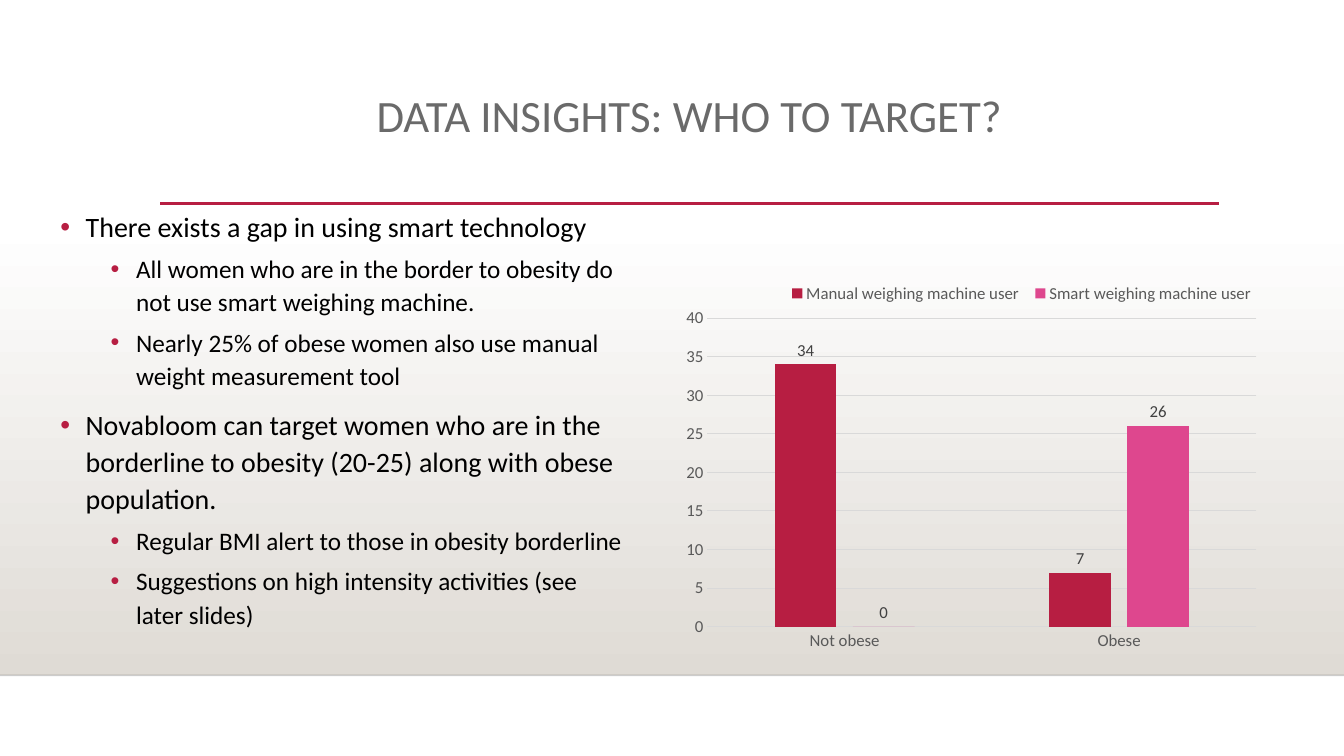
from lxml import etree
from pptx import Presentation
from pptx.chart.data import CategoryChartData
from pptx.dml.color import RGBColor
from pptx.enum.chart import XL_CHART_TYPE, XL_LABEL_POSITION, XL_LEGEND_POSITION, XL_TICK_MARK
from pptx.enum.shapes import MSO_CONNECTOR, MSO_SHAPE
from pptx.enum.text import MSO_ANCHOR, PP_ALIGN
from pptx.oxml.ns import qn
from pptx.util import Cm, Pt

CLUSTERED = XL_CHART_TYPE.COLUMN_CLUSTERED
OUTSIDE_END = XL_LABEL_POSITION.OUTSIDE_END
LEGEND_BOTTOM = XL_LEGEND_POSITION.BOTTOM
NO_TICK = XL_TICK_MARK.NONE
STRAIGHT = MSO_CONNECTOR.STRAIGHT
RECTANGLE = MSO_SHAPE.RECTANGLE
TOP = MSO_ANCHOR.TOP
LEFT, CENTER = PP_ALIGN.LEFT, PP_ALIGN.CENTER

WHITE = RGBColor(0xFF, 0xFF, 0xFF)
BLACK = RGBColor(0x00, 0x00, 0x00)
SAND = RGBColor(0xDF, 0xDB, 0xD5)
CRIMSON = RGBColor(0xB7, 0x1E, 0x42)
PINK = RGBColor(0xDE, 0x47, 0x8E)
TITLE_GRAY = RGBColor(0x6A, 0x6A, 0x6A)
AXIS_GRAY = RGBColor(0x59, 0x59, 0x59)
LABEL_GRAY = RGBColor(0x40, 0x40, 0x40)
GRID_GRAY = RGBColor(0xD9, 0xD9, 0xD9)

WIDTH, HEIGHT = 33.87, 19.05
FLOOR = 17.02

INSIGHTS = [
    (0, "There exists a gap in using smart technology"),
    (1, "All women who are in the border to obesity do not use smart weighing machine."),
    (1, "Nearly 25% of obese women also use manual weight measurement tool"),
    (0, "Novabloom can target women who are in the borderline to obesity (20-25) "
        "along with obese population."),
    (1, "Regular BMI alert to those in obesity borderline"),
    (1, "Suggestions on high intensity activities (see later slides)"),
]
LEVEL_STYLES = [
    dict(size=20, before=10, indent=0.64),
    dict(size=18, before=5, indent=1.91),
]
CATEGORIES = ["Not obese", "Obese"]
USERS = [
    ("Manual weighing machine user", (34, 7), CRIMSON),
    ("Smart weighing machine user", (0, 26), PINK),
]


def write_text(paragraph, text, size=18, color=BLACK, font="Calibri", align=LEFT,
               spacing=1.0, before=0, indent=None, hanging=0.64):
    if indent is not None:
        properties = paragraph._p.get_or_add_pPr()
        properties.set("marL", str(Cm(indent)))
        properties.set("indent", str(-Cm(hanging)))
        bullet_color = etree.SubElement(properties, qn("a:buClr"))
        etree.SubElement(bullet_color, qn("a:srgbClr"), val=str(CRIMSON))
        etree.SubElement(properties, qn("a:buFont"), typeface="Arial")
        etree.SubElement(properties, qn("a:buChar"), char="•")
    paragraph.alignment = align
    paragraph.line_spacing = spacing
    paragraph.space_before = Pt(before)
    run = paragraph.add_run()
    run.text = text
    style_font(run.font, size, color, font)


def style_font(font, size, color, name="Calibri"):
    font.size = Pt(size)
    font.name = name
    font.color.rgb = color


def set_layout(parent, index, left, top, width, height, inner=False):
    for old in parent.findall(qn("c:layout")):
        parent.remove(old)
    layout = etree.Element(qn("c:layout"))
    manual = etree.SubElement(layout, qn("c:manualLayout"))
    values = dict(xMode="edge", yMode="edge", x=left, y=top, w=width, h=height)
    if inner:
        values = dict(layoutTarget="inner", **values)
    for key, value in values.items():
        etree.SubElement(manual, qn("c:" + key), val=str(value))
    parent.insert(index, layout)


class SlideBuilder:
    def __init__(self, presentation):
        self.slide = presentation.slides.add_slide(presentation.slide_layouts[6])
        self.shapes = self.slide.shapes

    def gradient_panel(self, left, top, width, height, colors):
        shape = self.shapes.add_shape(RECTANGLE, Cm(left), Cm(top), Cm(width), Cm(height))
        shape.shadow.inherit = False
        shape.line.fill.background()
        shape.fill.gradient()
        shape.fill.gradient_angle = 270
        for stop, color in zip(shape.fill.gradient_stops, colors):
            stop.color.rgb = color

    def rule(self, left, right, y, color, weight, opacity=100):
        connector = self.shapes.add_connector(STRAIGHT, Cm(left), Cm(y), Cm(right), Cm(y))
        connector.line.color.rgb = color
        connector.line.width = Pt(weight)
        properties = connector._element.spPr
        if opacity < 100:
            color_element = properties.find(".//" + qn("a:srgbClr"))
            etree.SubElement(color_element, qn("a:alpha"), val=str(opacity * 1000))
        etree.SubElement(properties, qn("a:effectLst"))

    def text_box(self, left, top, width, height):
        frame = self.shapes.add_textbox(Cm(left), Cm(top), Cm(width), Cm(height)).text_frame
        frame.word_wrap = True
        frame.vertical_anchor = TOP
        return frame

    def title(self, text):
        frame = self.text_box(4.04, 2.24, 26.67, 2.92)
        write_text(frame.paragraphs[0], text, size=32, color=TITLE_GRAY,
                   align=CENTER, spacing=0.9)

    def bullets(self, items):
        frame = self.text_box(1.27, 5.08, 14.83, 11.73)
        for number, (level, text) in enumerate(items):
            paragraph = frame.add_paragraph() if number else frame.paragraphs[0]
            paragraph.level = level
            style = dict(LEVEL_STYLES[level])
            if number == 0:
                style["before"] = 0
            write_text(paragraph, text, spacing=1.1, **style)

    def column_chart(self, categories, series_list):
        data = CategoryChartData()
        data.categories = categories
        for name, values, _ in series_list:
            data.add_series(name, values)
        chart = self.shapes.add_chart(CLUSTERED, Cm(16.94), Cm(6.6),
                                      Cm(15.32), Cm(10.57), data).chart
        chart.has_title = False
        style_font(chart.font, 10, BLACK)
        self.style_axes(chart)
        self.style_legend(chart)
        plot = chart.plots[0]
        plot.gap_width, plot.overlap = 219, -27
        plot.vary_by_categories = False
        for series, (_, _, color) in zip(plot.series, series_list):
            series.format.fill.solid()
            series.format.fill.fore_color.rgb = color
            labels = series.data_labels
            labels.show_value = True
            labels.position = OUTSIDE_END
            style_font(labels.font, 12, LABEL_GRAY)
        plot_area = chart._chartSpace.find(".//" + qn("c:plotArea"))
        set_layout(plot_area, 0, 0.058, 0.134, 0.903, 0.736, inner=True)

    def style_axes(self, chart):
        for axis in (chart.category_axis, chart.value_axis):
            axis.major_tick_mark = axis.minor_tick_mark = NO_TICK
            style_font(axis.tick_labels.font, 12, AXIS_GRAY)
        value_axis = chart.value_axis
        value_axis.minimum_scale, value_axis.maximum_scale = 0, 40
        value_axis.major_unit = 5
        value_axis.format.line.fill.background()
        value_axis.has_major_gridlines = True
        for line in (chart.category_axis.format.line, value_axis.major_gridlines.format.line):
            line.color.rgb = GRID_GRAY
            line.width = Pt(0.75)

    def style_legend(self, chart):
        chart.has_legend = True
        legend = chart.legend
        legend.position = LEGEND_BOTTOM
        legend.include_in_layout = False
        style_font(legend.font, 12, AXIS_GRAY)
        set_layout(legend._element, 1, 0.18, 0.04, 0.79, 0.07)


def main():
    presentation = Presentation()
    presentation.slide_width, presentation.slide_height = Cm(WIDTH), Cm(HEIGHT)
    builder = SlideBuilder(presentation)
    builder.gradient_panel(0, 5.61, WIDTH, FLOOR - 5.61, (WHITE, SAND))
    builder.rule(0, WIDTH, FLOOR, BLACK, 1, opacity=20)
    builder.rule(4.04, 30.73, 5.13, CRIMSON, 2.5)
    builder.title("DATA INSIGHTS: WHO TO TARGET?")
    builder.bullets(INSIGHTS)
    builder.column_chart(CATEGORIES, USERS)
    presentation.save("out.pptx")


if __name__ == "__main__":
    main()
